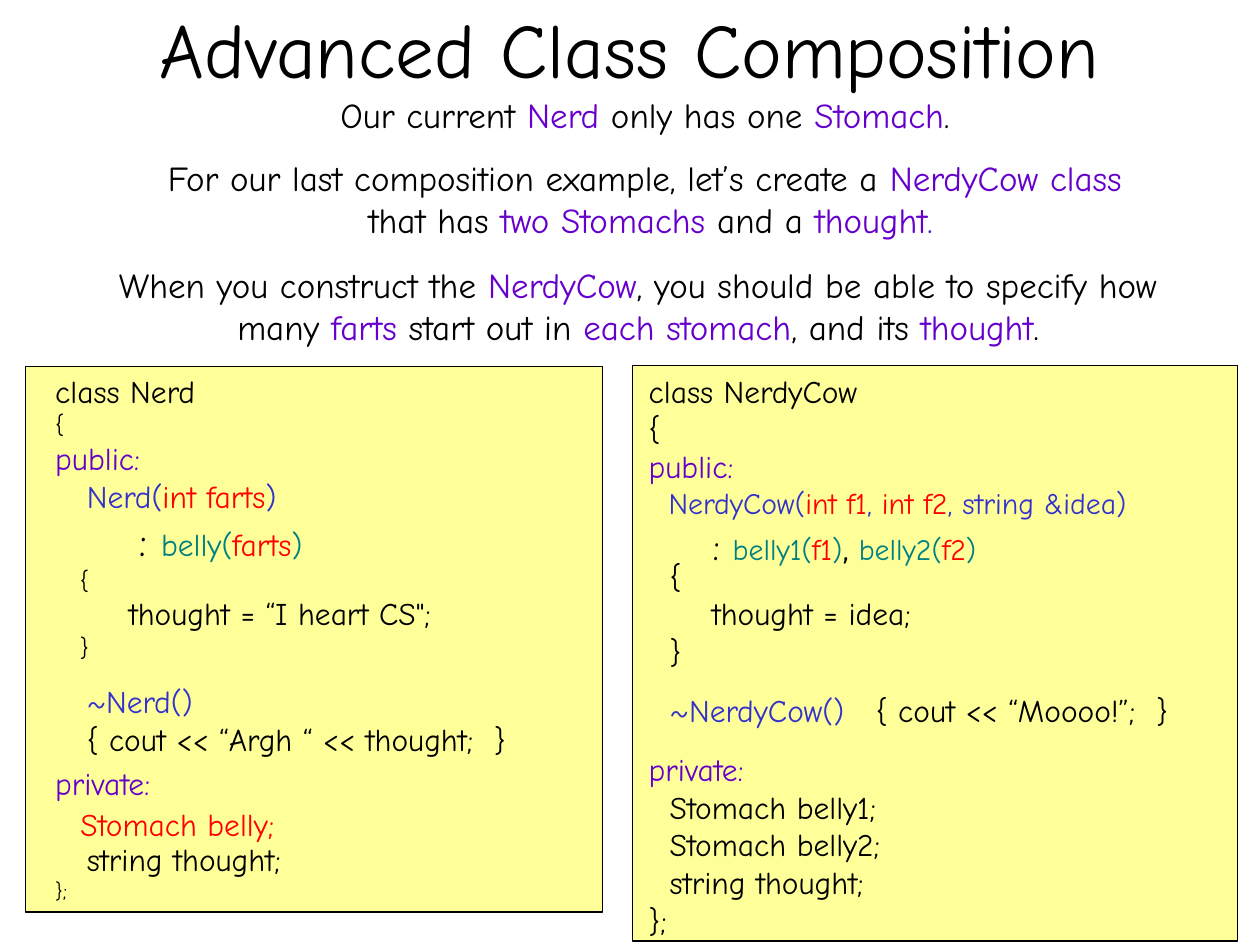
from pptx import Presentation
from pptx.dml.color import RGBColor
from pptx.enum.shapes import MSO_SHAPE as Shape
from pptx.enum.text import MSO_ANCHOR as Anchor, MSO_AUTO_SIZE as AutoSize, PP_ALIGN as Align
from pptx.util import Inches, Pt

COLORS = {
    "black": "000000", "purple": "6600CC", "blue": "3333CC",
    "red": "FF0000", "teal": "008080", "yellow": "FFFF99",
}
FONT = "Comic Neue"


def rgb(name):
    """Return the palette colour of that name."""
    return RGBColor.from_string(COLORS[name])


def line(*parts, size=18, gap=0):
    """Describe a paragraph of (text, colour[, size]) parts."""
    return parts, size, gap


def code(text, color="black", size=18, gap=0):
    """Describe a code line in one colour."""
    return line((text, color), size=size, gap=gap)


def write(shapes, box, lines, align=Align.LEFT, **frame_format):
    """Place a text box and fill it with the described lines."""
    frame = shapes.add_textbox(*map(Inches, box)).text_frame
    settings = {"word_wrap": True, "auto_size": AutoSize.SHAPE_TO_FIT_TEXT} | frame_format
    for name, value in settings.items():
        setattr(frame, name, value)
    for index, (parts, size, gap) in enumerate(lines):
        paragraph = frame.add_paragraph() if index else frame.paragraphs[0]
        paragraph.alignment = align
        if gap:
            paragraph.space_before = Pt(gap)
        for text, color, *own_size in parts:
            if text == "\n":
                paragraph.add_line_break()
                continue
            run = paragraph.add_run()
            run.text = text
            font_format = {"name": FONT, "size": Pt(own_size[0] if own_size else size)}
            for name, value in font_format.items():
                setattr(run.font, name, value)
            run.font.color.rgb = rgb(color)


def add_heading(slide, box):
    """Write the slide title."""
    write(slide.shapes, box, [code("Advanced Class Composition", size=44)], Align.CENTER,
          auto_size=AutoSize.NONE, vertical_anchor=Anchor.MIDDLE)


def add_introduction(slide, box):
    """Write the three centred statements about the classes."""
    left, top, width, height = box
    example = [
        line(("Our current ", "black"), ("Nerd", "purple"), (" only has one ", "black"),
             ("Stomach", "purple"), (". ", "black"), size=20),
        line(("For our last composition example, let’s create a ", "black"),
             ("NerdyCow class ", "purple"), ("\n", "purple"), ("that has ", "black"),
             ("two Stomachs ", "purple"), ("and a ", "black"), ("thought", "purple"),
             (".", "blue"), size=20, gap=12),
    ]
    task = line(("When you construct the ", "black"), ("NerdyCow", "purple"),
                (", you should be able to specify how many ", "black"), ("farts", "purple"),
                (" start out in ", "black"), ("each stomach", "purple"),
                (", and its ", "black"), ("thought", "purple"), (".", "black"), size=20)
    write(slide.shapes, (left, top, width, 1.28), example, Align.CENTER)
    write(slide.shapes, (left + 0.04, top + 1.35, width - 0.28, height - 1.35), [task], Align.CENTER)


def add_panel(slide, box):
    """Start a code group with its yellow panel and return its shapes."""
    shapes = slide.shapes.add_group_shape().shapes
    panel = shapes.add_shape(Shape.RECTANGLE, *map(Inches, box))
    panel.shadow.inherit = False
    panel.fill.solid()
    panel.fill.fore_color.rgb = rgb("yellow")
    panel.line.color.rgb = rgb("black")
    panel.line.width = Pt(0.75)
    return shapes


def add_nerd(slide, box):
    """Show the Nerd class."""
    left, top, width, height = box
    shapes = add_panel(slide, box)
    source = [
        code("class Nerd"),
        code("{", size=14),
        code("public:", "purple"),
        line(("   Nerd(", "blue"), ("int farts", "red"), (")", "blue")),
        line(("        ", "black"), (": ", "black", 24), ("belly(", "teal"),
             ("farts", "red"), (")", "teal")),
        code("   {", size=14),
        code("       thought = “I heart CS\";"),
        code("   }", size=14),
        code("   ~Nerd()", "blue", gap=12),
        code("   { cout << “Argh “ << thought;  }"),
        code("private:", "purple", gap=3.6),
        code("   string thought;", gap=21.7),
        code("};", size=12),
    ]
    write(shapes, (left + 0.14, top - 0.01, 3.9, height + 0.03), source, word_wrap=False)
    write(shapes, (left + 0.34, top + 3.43, 1.94, 0.4), [code("Stomach belly;", "red")],
          word_wrap=False)


def add_nerdy_cow(slide, box):
    """Show the NerdyCow class."""
    left, top, width, height = box
    shapes = add_panel(slide, box)
    source = [
        code("class NerdyCow"),
        code("{"),
        code("public:", "purple"),
        line(("  NerdyCow(", "blue"), ("int f1", "red"), (", ", "blue"), ("int f2", "red"),
             (", string &idea)", "blue"), size=17),
        code("  {", gap=20.5),
        code("      thought = idea;"),
        code("  }"),
        line(("  ~NerdyCow() ", "blue"), ("  { cout << “Moooo!”;  }", "black"), gap=12),
        code("private:", "purple", gap=12),
        code("  Stomach belly1;"),
        code("  Stomach belly2;"),
        code("  string thought;"),
        code("};"),
    ]
    initializers = line((": ", "black", 22), ("belly1(", "teal"), ("f1", "red"), (")", "teal"),
                        (",", "black", 22), (" belly2(", "teal"), ("f2", "red"),
                        (")", "teal"), size=17)
    write(shapes, (left + 0.03, top, width - 0.02, height + 0.05), source)
    write(shapes, (left + 0.54, top + 1.19, 2.67, 0.47), [initializers], word_wrap=False)


def main():
    """Build and save the slide."""
    deck = Presentation()
    deck.slide_width, deck.slide_height = Inches(10), Inches(7.5)
    slide = deck.slides.add_slide(deck.slide_layouts[6])
    add_heading(slide, (0.75, -0.25, 8.5, 1.25))
    add_introduction(slide, (0.56, 0.69, 9.21, 2.12))
    add_nerdy_cow(slide, (5.02, 2.9, 4.8, 4.57))
    add_nerd(slide, (0.2, 2.91, 4.58, 4.33))
    deck.save("out.pptx")


if __name__ == "__main__":
    main()
